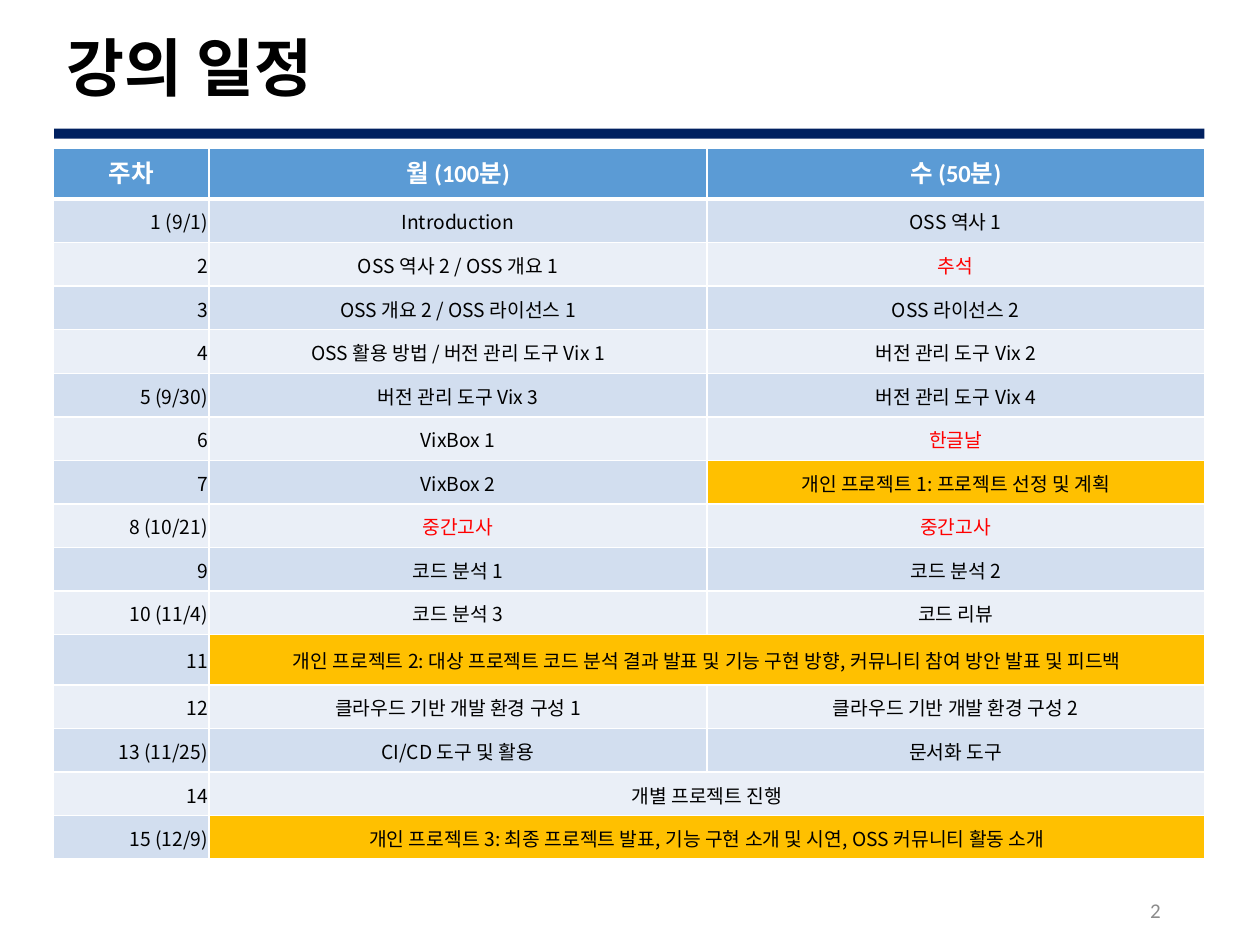
from dataclasses import dataclass

from lxml import etree
from pptx import Presentation
from pptx.dml.color import RGBColor
from pptx.enum import shapes, text
from pptx.oxml import ns
from pptx.util import Inches, Pt

BLACK = RGBColor(0x00, 0x00, 0x00)
WHITE = RGBColor(0xFF, 0xFF, 0xFF)
RED = RGBColor(0xFF, 0x00, 0x00)
GRAY = RGBColor(0x8C, 0x8C, 0x8C)
NAVY = RGBColor(0x00, 0x20, 0x60)
BLUE = RGBColor(0x5B, 0x9B, 0xD5)
GOLD = RGBColor(0xFF, 0xC0, 0x00)
BANDS = (RGBColor(0xEA, 0xEF, 0xF7), RGBColor(0xD2, 0xDE, 0xEF))
HEAD_FONT = "Calibri"
BODY_FONT = "Noto Sans CJK KR"
LEFT, MID, RIGHT = text.PP_ALIGN.LEFT, text.PP_ALIGN.CENTER, text.PP_ALIGN.RIGHT

WIDTHS = (1.24, 3.95, 3.95)
HEIGHT = 5.64
TALL = 0.4
TALL_ROWS = (0, 11)


@dataclass(frozen=True)
class Item:
    label: str
    color: RGBColor = BLACK
    fill: RGBColor | None = None


@dataclass(frozen=True)
class Week:
    label: str
    mon: Item
    wed: Item | None = None


EXAM = Item("중간고사", RED)
WEEKS = (
    Week("1 (9/1)", Item("Introduction"), Item("OSS 역사 1")),
    Week("2", Item("OSS 역사 2 / OSS 개요 1"), Item("추석", RED)),
    Week("3", Item("OSS 개요 2 / OSS 라이선스 1"), Item("OSS 라이선스 2")),
    Week("4", Item("OSS 활용 방법 / 버전 관리 도구 Vix 1"), Item("버전 관리 도구 Vix 2")),
    Week("5 (9/30)", Item("버전 관리 도구 Vix 3"), Item("버전 관리 도구 Vix 4")),
    Week("6", Item("VixBox 1"), Item("한글날", RED)),
    Week("7", Item("VixBox 2"),
         Item("개인 프로젝트 1: 프로젝트 선정 및 계획", fill=GOLD)),
    Week("8 (10/21)", EXAM, EXAM),
    Week("9", Item("코드 분석 1"), Item("코드 분석 2")),
    Week("10 (11/4)", Item("코드 분석 3"), Item("코드 리뷰")),
    Week("11", Item("개인 프로젝트 2: 대상 프로젝트 코드 분석 결과 발표 및 기능 구현 방향, "
                    "커뮤니티 참여 방안 발표 및 피드백", fill=GOLD)),
    Week("12", Item("클라우드 기반 개발 환경 구성 1"), Item("클라우드 기반 개발 환경 구성 2")),
    Week("13 (11/25)", Item("CI/CD 도구 및 활용"), Item("문서화 도구")),
    Week("14", Item("개별 프로젝트 진행")),
    Week("15 (12/9)", Item("개인 프로젝트 3: 최종 프로젝트 발표, 기능 구현 소개 및 시연, "
                           "OSS 커뮤니티 활동 소개", fill=GOLD)),
)


def write(frame, words: str, *, size: float, color: RGBColor, font: str = HEAD_FONT,
          bold: bool = False, align=LEFT, space: float = 1.0) -> None:
    frame.word_wrap = True
    par = frame.paragraphs[0]
    par.alignment = align
    par.line_spacing = space
    run = par.add_run()
    run.text = words
    run.font.size = Pt(size)
    run.font.bold = bold
    run.font.name = font
    run.font.color.rgb = color
    east = etree.SubElement(run.font._element, ns.qn("a:ea"))
    east.set("typeface", font)


def add_text(slide, box: tuple[float, ...], words: str, **style) -> None:
    frame = slide.shapes.add_textbox(*map(Inches, box)).text_frame
    frame.vertical_anchor = text.MSO_ANCHOR.MIDDLE
    write(frame, words, **style)


def set_edges(cell, base: float) -> None:
    props = cell._tc.get_or_add_tcPr()
    for spot, (side, width) in enumerate(zip("LRTB", (1, 1, 1, base))):
        line = etree.Element(ns.qn(f"a:ln{side}"), w=str(Pt(width)))
        fill = etree.SubElement(line, ns.qn("a:solidFill"))
        etree.SubElement(fill, ns.qn("a:srgbClr"), val=str(WHITE))
        props.insert(spot, line)


def paint(cell, fill: RGBColor, base: float = 1) -> None:
    cell.fill.solid()
    cell.fill.fore_color.rgb = fill
    cell.vertical_anchor = text.MSO_ANCHOR.MIDDLE
    set_edges(cell, base)


def fill_cell(cell, item: Item, band: RGBColor, align) -> None:
    paint(cell, item.fill or band)
    cell.margin_left = cell.margin_right = cell.margin_top = Inches(0.01)
    cell.margin_bottom = 0
    write(cell.text_frame, item.label, size=11, color=item.color,
          font=BODY_FONT, align=align)


def add_plan(slide) -> None:
    count = len(WEEKS) + 1
    plan = slide.shapes.add_table(count, len(WIDTHS), Inches(0.42), Inches(1.18),
                                  Inches(sum(WIDTHS)), Inches(HEIGHT)).table
    for col, width in zip(plan.columns, WIDTHS):
        col.width = Inches(width)
    short = (HEIGHT - TALL * len(TALL_ROWS)) / (count - len(TALL_ROWS))
    for num, row in enumerate(plan.rows):
        row.height = Inches(TALL if num in TALL_ROWS else short)
    for cell, label in zip(plan.rows[0].cells, ("주차", "월 (100분)", "수 (50분)")):
        paint(cell, BLUE, 3)
        write(cell.text_frame, label, size=14, color=WHITE, bold=True, align=MID)
    for num, week in enumerate(WEEKS, 1):
        band = BANDS[num % 2]
        first, mon, wed = plan.rows[num].cells
        fill_cell(first, Item(week.label), band, RIGHT)
        fill_cell(mon, week.mon, band, MID)
        if week.wed:
            fill_cell(wed, week.wed, band, MID)
        else:
            paint(wed, week.mon.fill or band)
            mon.merge(wed)


def main() -> None:
    deck = Presentation()
    deck.slide_width, deck.slide_height = Inches(10), Inches(7.5)
    slide = deck.slides.add_slide(deck.slide_layouts[6])
    rule = slide.shapes.add_shape(shapes.MSO_SHAPE.RECTANGLE, Inches(0.43),
                                  Inches(1.02), Inches(9.13), Inches(0.08))
    rule.shadow.inherit = False
    rule.fill.solid()
    rule.fill.fore_color.rgb = NAVY
    rule.line.fill.background()
    add_text(slide, (0.43, 0.18, 9.13, 0.77), "강의 일정", size=36, color=BLACK,
             bold=True, space=0.9)
    add_plan(slide)
    add_text(slide, (7.06, 7.05, 2.25, 0.35), "2", size=12, color=GRAY, align=RIGHT)
    deck.save("out.pptx")


if __name__ == "__main__":
    main()
